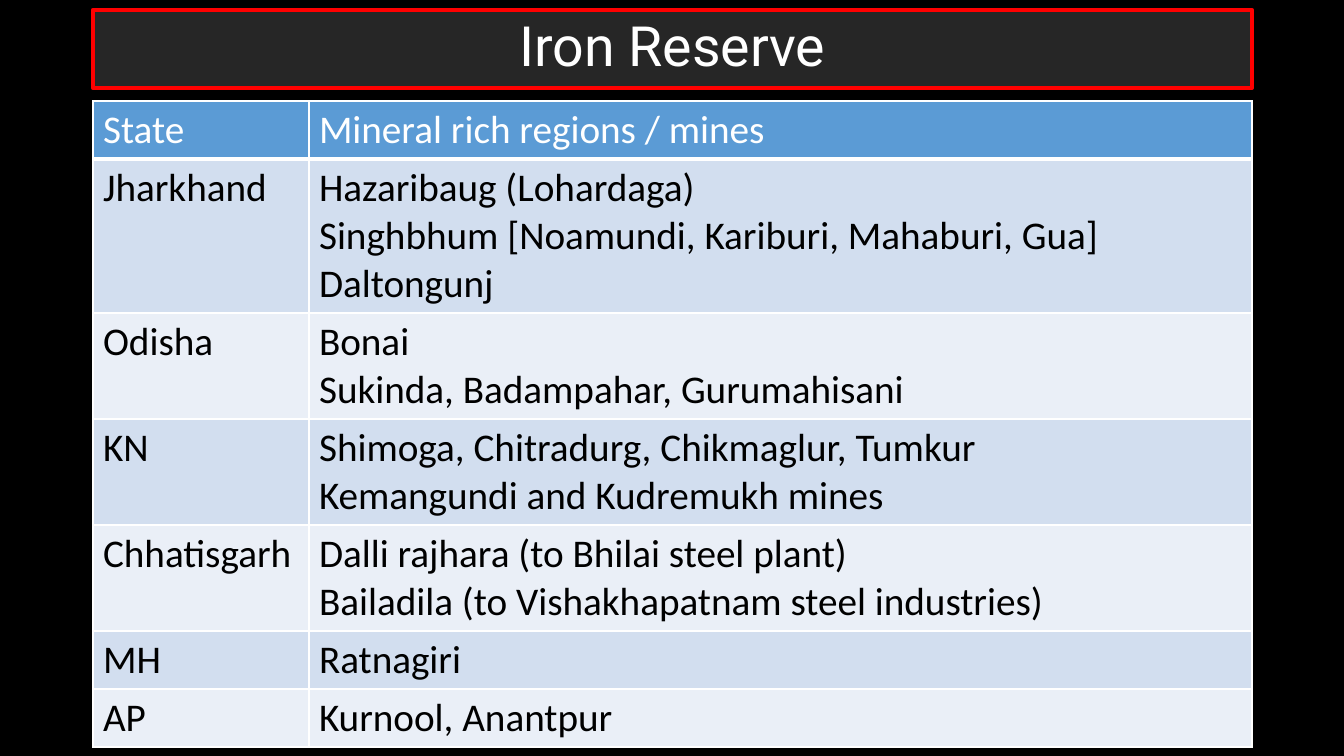
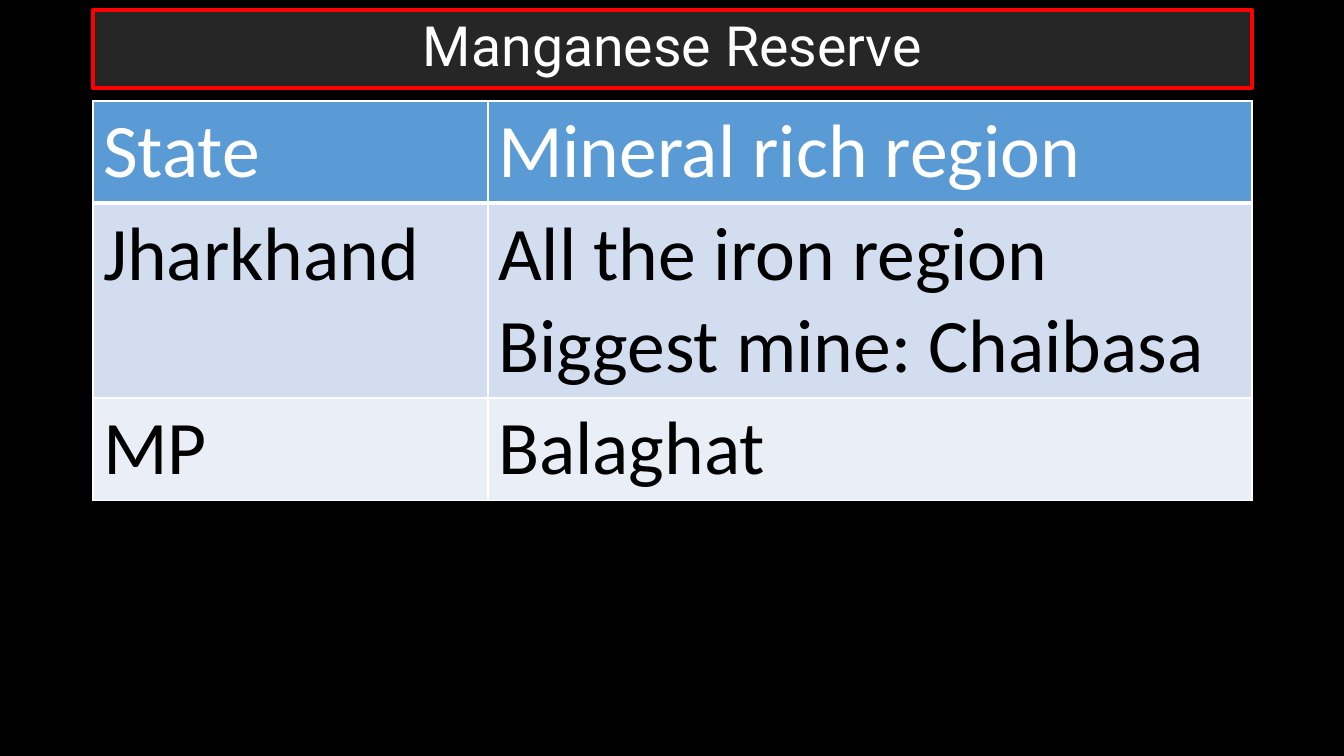
from dataclasses import dataclass
from typing import Any

from lxml.etree import SubElement
from pptx import Presentation
from pptx.dml.color import RGBColor as Rgb
from pptx.enum.shapes import MSO_SHAPE as Preset
from pptx.enum.text import MSO_ANCHOR as Anchor, PP_ALIGN as Align
from pptx.oxml.ns import qn
from pptx.util import Pt

SLIDE_W, SLIDE_H = 1344, 756
EMU_PER_PX = 12192000 / SLIDE_W
PX_PER_PT = 1.4
LEFT, CONTENT_W = 93, 1159
TITLE_TOP, TITLE_H = 10, 78
TABLE_TOP, CELL_PADDING = 101, 10


@dataclass(frozen=True)
class Theme:
    background: str = "000000"
    title_fill: str = "262626"
    title_line: str = "FF0000"
    header_fill: str = "5B9BD5"
    bands: tuple[str, str] = ("D2DEEF", "EAEFF7")
    grid: str = "FFFFFF"
    light_text: str = "FFFFFF"
    dark_text: str = "000000"
    title_font: str = "Roboto"
    table_font: str = "Calibri"
    title_size: float = 39.6
    title_line_width: int = 3
    grid_width: int = 1
    header_rule_width: int = 3
    line_factor: float = 1.22


THEME = Theme()


@dataclass(frozen=True)
class Reserve:
    title: str
    state_width: int
    text_size: int
    header: tuple[str, str]
    regions: dict[str, list[str]]


RESERVES = (
    Reserve("Iron Reserve", 216, 28, ("State", "Mineral rich regions / mines"), {
        "Jharkhand": ["Hazaribaug (Lohardaga)",
                      "Singhbhum [Noamundi, Kariburi, Mahaburi, Gua]",
                      "Daltongunj"],
        "Odisha": ["Bonai", "Sukinda, Badampahar, Gurumahisani"],
        "KN": ["Shimoga, Chitradurg, Chikmaglur, Tumkur",
               "Kemangundi and Kudremukh mines"],
        "Chhatisgarh": ["Dalli rajhara (to Bhilai steel plant)",
                        "Bailadila (to Vishakhapatnam steel industries)"],
        "MH": ["Ratnagiri"],
        "AP": ["Kurnool, Anantpur"],
    }),
    Reserve("Manganese Reserve", 395, 54, ("State", "Mineral rich region"), {
        "Jharkhand": ["All the iron region", "Biggest mine: Chaibasa"],
        "MP": ["Balaghat"],
    }),
)


def px(length: int) -> int:
    return round(length * EMU_PER_PX)


def apply_format(target: Any, values: dict[str, Any]) -> None:
    for attribute, value in values.items():
        setattr(target, attribute, value)


def paint(fill: Any, color: str) -> None:
    fill.solid()
    fill.fore_color.rgb = Rgb.from_string(color)


def style_text(paragraph: Any, font: str, size: float, color: str) -> None:
    apply_format(paragraph.font, {"name": font, "size": Pt(size), "bold": False})
    paragraph.font.color.rgb = Rgb.from_string(color)


def add_borders(cell: Any, bottom_width: int) -> None:
    """Add cell borders; call before filling, as the schema puts lines first."""
    properties = cell._tc.get_or_add_tcPr()
    for side in ("L", "R", "T", "B"):
        width = bottom_width if side == "B" else THEME.grid_width
        line = SubElement(properties, qn(f"a:ln{side}"), w=str(Pt(width)))
        solid = SubElement(line, qn("a:solidFill"))
        SubElement(solid, qn("a:srgbClr"), val=THEME.grid)


def draw_title(slide: Any, title: str) -> None:
    band = slide.shapes.add_shape(Preset.ROUNDED_RECTANGLE, px(LEFT), px(TITLE_TOP),
                                  px(CONTENT_W), px(TITLE_H))
    band.adjustments[0] = 0
    band.shadow.inherit = False
    paint(band.fill, THEME.title_fill)
    paint(band.line.fill, THEME.title_line)
    band.line.width = Pt(THEME.title_line_width)
    frame = band.text_frame
    apply_format(frame, {"text": title, "word_wrap": True,
                         "vertical_anchor": Anchor.MIDDLE})
    heading = frame.paragraphs[0]
    apply_format(heading, {"alignment": Align.CENTER, "line_spacing": 0.9})
    style_text(heading, THEME.title_font, THEME.title_size, THEME.light_text)


def draw_table(slide: Any, reserve: Reserve) -> None:
    rows = [reserve.header] + [(state, "\n".join(mines))
                               for state, mines in reserve.regions.items()]
    line_height = round(reserve.text_size * THEME.line_factor * PX_PER_PT)
    heights = [CELL_PADDING + line_height * len(regions.split("\n"))
               for _, regions in rows]
    table = slide.shapes.add_table(len(rows), 2, px(LEFT), px(TABLE_TOP),
                                   px(CONTENT_W), px(sum(heights))).table
    table.horz_banding = False
    widths = (reserve.state_width, CONTENT_W - reserve.state_width)
    for column, width in zip(table.columns, widths):
        column.width = px(width)
    for index, (row, height, texts) in enumerate(zip(table.rows, heights, rows)):
        row.height = px(height)
        is_header = index == 0
        fill = THEME.header_fill if is_header else THEME.bands[(index - 1) % 2]
        color = THEME.light_text if is_header else THEME.dark_text
        rule = THEME.header_rule_width if is_header else THEME.grid_width
        for cell, text in zip(row.cells, texts):
            add_borders(cell, rule)
            paint(cell.fill, fill)
            cell.text_frame.text = text
            for paragraph in cell.text_frame.paragraphs:
                style_text(paragraph, THEME.table_font, reserve.text_size, color)


def main() -> None:
    deck = Presentation()
    apply_format(deck, {"slide_width": px(SLIDE_W), "slide_height": px(SLIDE_H)})
    for reserve in RESERVES:
        slide = deck.slides.add_slide(deck.slide_layouts[6])
        paint(slide.background.fill, THEME.background)
        draw_table(slide, reserve)
        draw_title(slide, reserve.title)
    deck.save("out.pptx")


if __name__ == "__main__":
    main()
